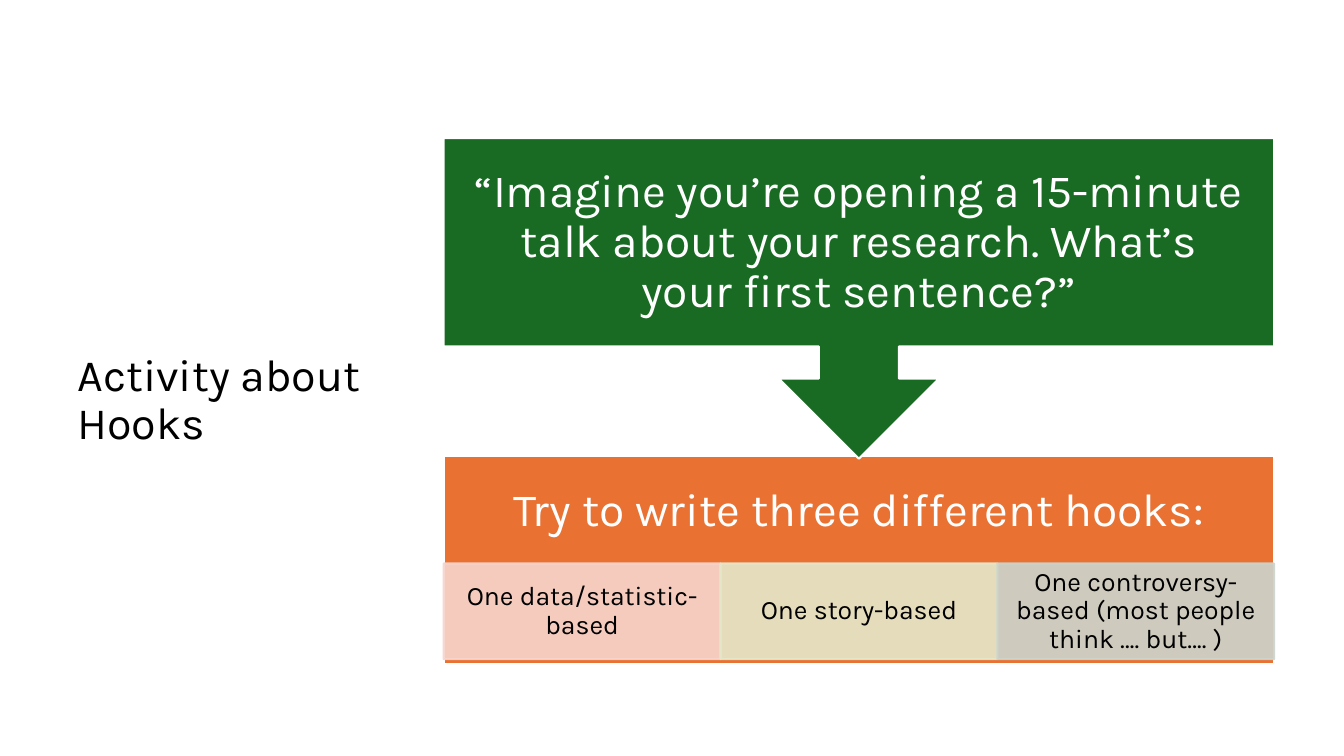
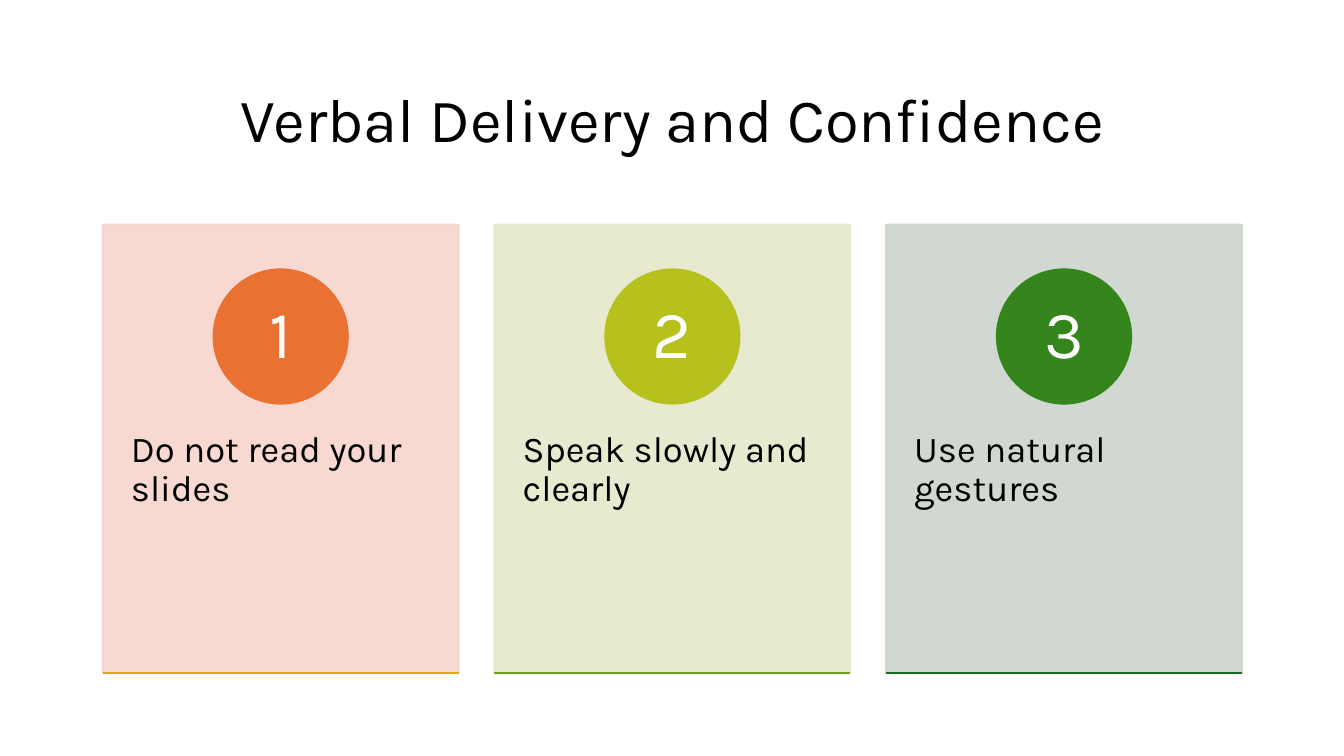
from lxml.etree import SubElement
from pptx import Presentation
from pptx.dml.color import RGBColor
from pptx.enum.shapes import MSO_CONNECTOR, MSO_SHAPE
from pptx.enum.text import MSO_ANCHOR, PP_ALIGN
from pptx.oxml.ns import qn
from pptx.util import Cm, Pt

FONT = "Karla"
BLACK = "000000"
WHITE = "FFFFFF"
ORANGE = "E97132"
GREEN = "196B24"
TINTS = ["F7D5CE", "E5E8CA", "CCD4CD"]
TINT_OPACITY = 90
LINE_WIDTH = Pt(1.5)
SLIDE_WIDTH = 33.87
SLIDE_HEIGHT = 19.05


def color(hex_value):
    return RGBColor.from_string(hex_value)


def set_opacity(fill_element, percent):
    for color_element in fill_element.iter(qn("a:srgbClr")):
        SubElement(color_element, qn("a:alpha"), val=str(percent * 1000))


def write_text(shape, text, size, text_color, align, anchor, insets):
    frame = shape.text_frame
    frame.word_wrap = True
    frame.vertical_anchor = anchor
    left, top, right, bottom = insets
    frame.margin_left, frame.margin_top = Cm(left), Cm(top)
    frame.margin_right, frame.margin_bottom = Cm(right), Cm(bottom)
    paragraph = frame.paragraphs[0]
    paragraph.text = text
    paragraph.alignment = align
    paragraph.line_spacing = 0.9
    paragraph.font.name = FONT
    paragraph.font.size = Pt(size)
    paragraph.font.color.rgb = color(text_color)


def add_title(slide, text, size, left, top, width, height, align=PP_ALIGN.LEFT):
    title = slide.shapes.add_textbox(Cm(left), Cm(top), Cm(width), Cm(height))
    write_text(title, text, size, BLACK, align, MSO_ANCHOR.MIDDLE, (0.25, 0.13, 0.25, 0.13))


def add_panel(slide, kind, left, top, width, height, fill, line, text, size,
              insets, text_color=WHITE, align=PP_ALIGN.CENTER, anchor=MSO_ANCHOR.MIDDLE):
    shape = slide.shapes.add_shape(kind, Cm(left), Cm(top), Cm(width), Cm(height))
    shape.shadow.inherit = False
    shape.fill.solid()
    shape.fill.fore_color.rgb = color(fill)
    shape.line.color.rgb = color(line)
    shape.line.width = LINE_WIDTH
    write_text(shape, text, size, text_color, align, anchor, insets)
    return shape


def add_tinted_panel(slide, left, top, width, height, tint, text, size, insets, **style):
    panel = add_panel(slide, MSO_SHAPE.RECTANGLE, left, top, width, height, tint, tint,
                      text, size, insets, text_color=BLACK, **style)
    set_opacity(panel.element.spPr, TINT_OPACITY)


def add_rule(slide, left, top, width, line):
    rule = slide.shapes.add_connector(
        MSO_CONNECTOR.STRAIGHT, Cm(left), Cm(top), Cm(left + width), Cm(top))
    rule.line.color.rgb = color(line)
    rule.line.width = LINE_WIDTH
    SubElement(rule.element.spPr, qn("a:effectLst"))


def add_card(slide, left, number, text, tint, accent, rule_color):
    top, width, height, diameter = 5.66, 8.97, 11.3, 3.38
    add_tinted_panel(slide, left, top, width, height, tint, text, 26,
                     (0.71, 5.2, 0.71, 0.91), align=PP_ALIGN.LEFT, anchor=MSO_ANCHOR.TOP)
    add_panel(slide, MSO_SHAPE.OVAL, left + (width - diameter) / 2, top + 1.13,
              diameter, diameter, accent, accent, str(number), 48, (0.25, 0.03, 0.25, 0.03))
    add_rule(slide, left, top + height, width, rule_color)


def build_hooks_slide(slide):
    add_title(slide, "Activity about Hooks", 32, 1.7, 3.48, 8.08, 13.26)
    left, width = 11.18, 20.93
    add_panel(slide, MSO_SHAPE.RECTANGLE, left, 11.48, width, 5.26, ORANGE, WHITE,
              "Try to write three different hooks:", 33, (0.66, 0.66, 0.66, 3.08))
    hooks = [
        "One data/statistic-based",
        "One story-based",
        "One controversy-based (most people think …. but…. )",
    ]
    hook_width = width / len(hooks)
    for index, (hook, tint) in enumerate(zip(hooks, TINTS)):
        add_tinted_panel(slide, left + index * hook_width, 14.2, hook_width, 2.41,
                         tint, hook, 19, (0.38, 0.08, 0.38, 0.08))
    add_panel(slide, MSO_SHAPE.DOWN_ARROW_CALLOUT, left, 3.48, width, 8.08, GREEN, WHITE,
              "“Imagine you’re opening a 15-minute talk about your research. "
              "What’s your first sentence?”", 33, (0.66, 0.66, 0.66, 0.66))


def build_delivery_slide(slide):
    add_title(slide, "Verbal Delivery and Confidence", 44, 4.24, 1.52, 25.45, 3.15,
              PP_ALIGN.CENTER)
    cards = [
        ("Do not read your slides", ORANGE, "E0A61D"),
        ("Speak slowly and clearly", "B7C11E", "6BA31D"),
        ("Use natural gestures", "34861C", GREEN),
    ]
    for index, ((text, accent, rule_color), tint) in enumerate(zip(cards, TINTS)):
        add_card(slide, 2.59 + index * 9.87, index + 1, text, tint, accent, rule_color)


def main():
    presentation = Presentation()
    presentation.slide_width = Cm(SLIDE_WIDTH)
    presentation.slide_height = Cm(SLIDE_HEIGHT)
    blank_layout = presentation.slide_layouts[6]
    for build_slide in (build_hooks_slide, build_delivery_slide):
        build_slide(presentation.slides.add_slide(blank_layout))
    presentation.save("out.pptx")


if __name__ == "__main__":
    main()
